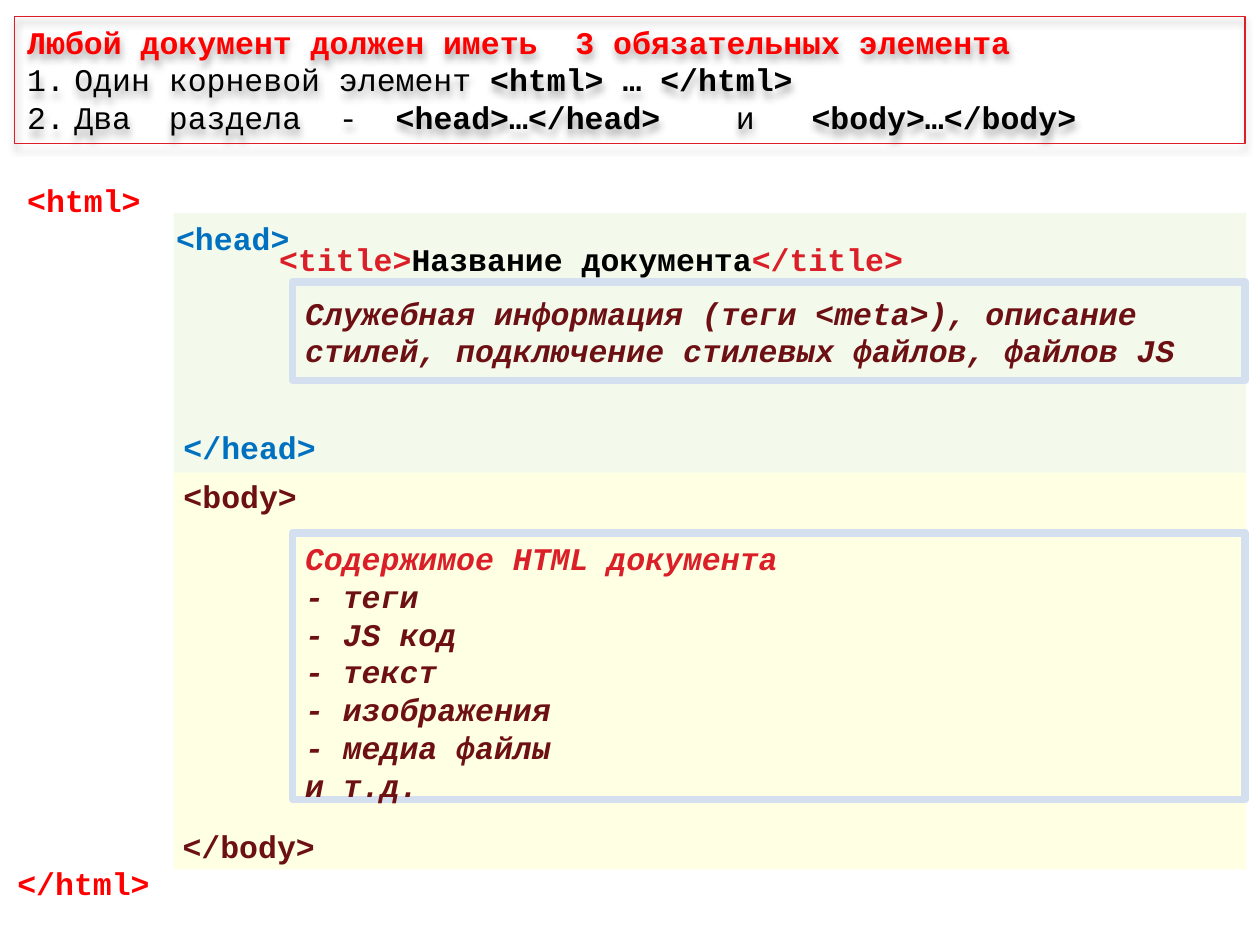
from lxml.etree import SubElement
from pptx import Presentation
from pptx.dml.color import RGBColor
from pptx.enum.shapes import MSO_SHAPE
from pptx.enum.text import MSO_ANCHOR, MSO_AUTO_SIZE, PP_ALIGN
from pptx.oxml.ns import qn
from pptx.util import Cm, Pt

RED, CRIMSON, MAROON, BLUE, BLACK = "FF0000", "DA1F28", "6D1014", "0070C0", "000000"
FRAME = "D4DFEF"

# Section backgrounds: top, height, colour
BANDS = [(9.53, 8.0, "FFFF00"), (4.29, 5.24, "92D050")]

# Tags: left, top, width, spans of (text, colour)
TAGS = [
    (0.3, 3.53, 2.82, [("<html>", RED)]),
    (0.1, 17.3, 3.28, [("</html>", RED)]),
    (3.3, 4.29, 2.82, [("<head>", BLUE)]),
    (3.45, 8.51, 3.2, [("</head>", BLUE)]),
    (3.45, 9.5, 2.82, [("<body>", MAROON)]),
    (3.43, 16.54, 3.2, [("</body>", MAROON)]),
    (5.38, 4.72, 13.54, [("<title>", CRIMSON), ("Название документа", BLACK),
                         ("</title>", CRIMSON)]),
]

# Framed boxes: top, height, anchor, lines of (text, colour)
BOXES = [
    (5.69, 1.98, MSO_ANCHOR.MIDDLE, [
        ("Служебная информация (теги <meta>), описание стилей, "
         "подключение стилевых файлов, файлов JS", MAROON)]),
    (10.74, 5.38, MSO_ANCHOR.TOP, [("Содержимое HTML документа", CRIMSON)] + [
        (line, MAROON) for line in
        ("- теги", "- JS код", "- текст", "- изображения", "- медиа файлы", "и т.д.")]),
]

# Rules: spans of (text, colour, bold)
RULES_TITLE = [("Любой документ должен иметь  3 обязательных элемента", RED, True)]
RULES = [
    [("Один корневой элемент ", BLACK, False), ("<html> … </html>", BLACK, True)],
    [("Два  раздела  -  ", BLACK, False), ("<head>…</head>    ", BLACK, True),
     ("и", BLACK, False), ("   <body>…</body>", BLACK, True)],
]


def rgb(value):
    return RGBColor.from_string(value)


def add_rectangle(left, top, width, height, fill=None, line=None, weight=0.75):
    box = page.shapes.add_shape(MSO_SHAPE.RECTANGLE, Cm(left), Cm(top), Cm(width), Cm(height))
    box.shadow.inherit = False
    if fill:
        box.fill.solid()
        box.fill.fore_color.rgb = rgb(fill)
    else:
        box.fill.background()
    if line:
        box.line.color.rgb = rgb(line)
        box.line.width = Pt(weight)
    else:
        box.line.fill.background()
    return box


def write(frame, lines, italic=False):
    """Fill a frame with lines, each a list of (text, colour, bold)."""
    for number, spans in enumerate(lines):
        para = frame.add_paragraph() if number else frame.paragraphs[0]
        para.alignment = PP_ALIGN.LEFT
        for text, color, bold in spans:
            span = para.add_run()
            span.text = text
            span.font.name = "Courier New"
            span.font.size = Pt(18)
            span.font.bold = bold
            span.font.italic = italic
            span.font.color.rgb = rgb(color)


def number_paragraph(para):
    props = para._p.get_or_add_pPr()
    props.set("marL", str(Cm(0.95)))
    props.set("indent", str(-Cm(0.95)))
    SubElement(props, qn("a:buFont"), typeface="+mj-lt")
    SubElement(props, qn("a:buAutoNum"), type="arabicPeriod")


def add_shadow(box):
    effects = box._element.spPr.find(qn("a:effectLst"))
    shadow = SubElement(effects, qn("a:outerShdw"), blurRad=str(Pt(4)), dist=str(Pt(3)),
                        dir=str(90 * 60000), rotWithShape="0")
    color = SubElement(shadow, qn("a:srgbClr"), val=BLACK)
    SubElement(color, qn("a:alpha"), val="35000")


deck = Presentation()
deck.slide_width, deck.slide_height = Cm(25.4), Cm(19.05)
page = deck.slides.add_slide(deck.slide_layouts[6])

# Translucent head and body sections
for top, height, color in BANDS:
    band = add_rectangle(3.5, top, 21.62, height, fill=color)
    SubElement(band._element.spPr.find(".//" + qn("a:srgbClr")), qn("a:alpha"), val="11000")

# Tag labels
for left, top, width, spans in TAGS:
    label = page.shapes.add_textbox(Cm(left), Cm(top), Cm(width), Cm(1.02))
    label.text_frame.word_wrap = False
    label.text_frame.auto_size = MSO_AUTO_SIZE.SHAPE_TO_FIT_TEXT
    write(label.text_frame, [[(text, color, True) for text, color in spans]])

# Framed contents of each section
for top, height, anchor, lines in BOXES:
    box = add_rectangle(5.9, top, 19.2, height, line=FRAME, weight=4.33)
    box.text_frame.word_wrap = True
    box.text_frame.vertical_anchor = anchor
    write(box.text_frame, [[(text, color, True)] for text, color in lines], italic=True)

# Rules at the top
header = add_rectangle(0.3, 0.33, 24.8, 2.57, line=CRIMSON)
add_shadow(header)
header.text_frame.word_wrap = True
header.text_frame.auto_size = MSO_AUTO_SIZE.SHAPE_TO_FIT_TEXT
header.text_frame.vertical_anchor = MSO_ANCHOR.TOP
write(header.text_frame, [RULES_TITLE] + RULES)
for para in header.text_frame.paragraphs[1:]:
    number_paragraph(para)

deck.save("out.pptx")
